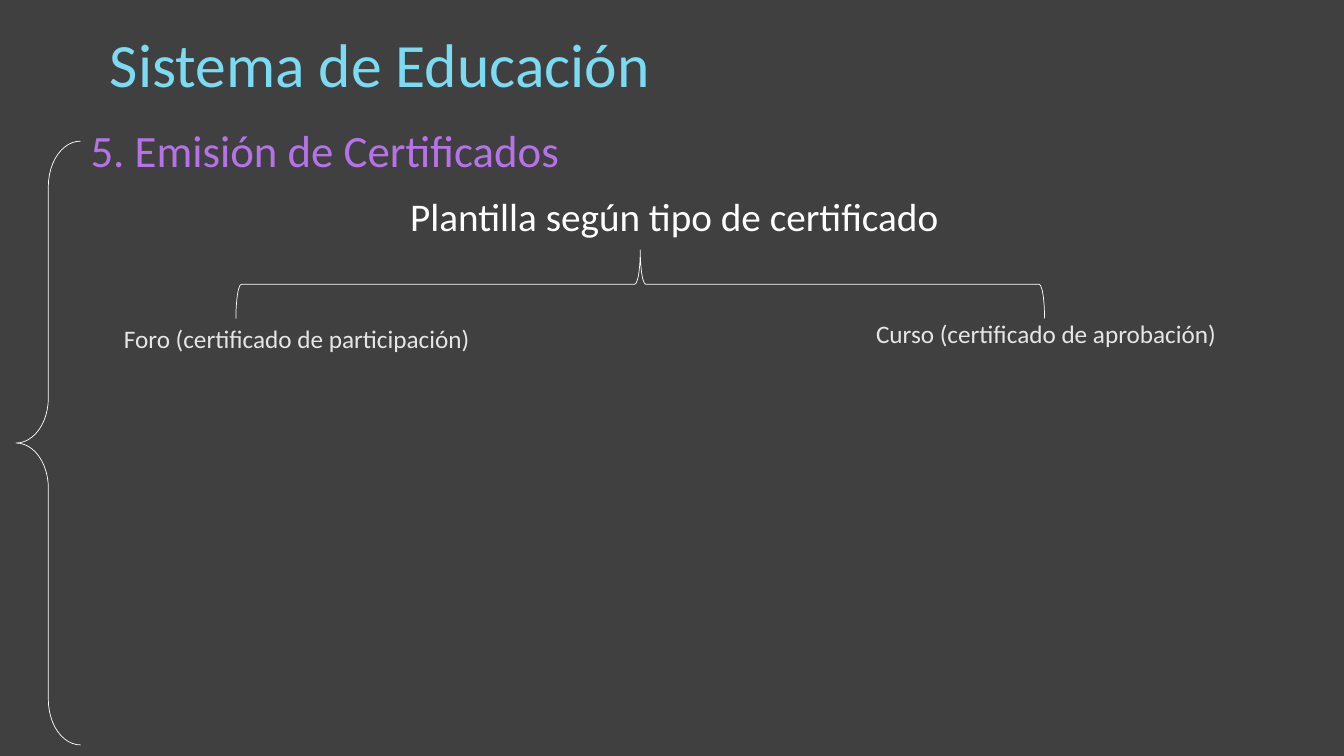
from pptx import Presentation
from pptx.dml.color import RGBColor
from pptx.enum import shapes, text
from pptx.util import Inches, Pt

COLORS = {
    "background": "404040",
    "title": "7ADBF2",
    "section": "B573E7",
    "white": "FFFFFF",
    "branch": "E7E6E6",
}
FONT = "Calibri"
LABELS = [
    ("Sistema de Educación", (0.99, 0.21, 5.68, 0.84), 44, "title"),
    ("5. Emisión de Certificados", (0.8, 1.17, 6.2, 0.64), 32, "section"),
    ("Plantilla según tipo de certificado", (3.97, 1.86, 6.67, 0.57), 28, "white"),
    ("Foro (certificado de participación)", (1.13, 3.16, 4.39, 0.4), 18, "branch"),
    ("Curso (certificado de aprobación)", (8.59, 3.11, 4.09, 0.4), 18, "branch"),
]
BRACES = [
    ((0.16, 1.4, 0.64, 5.99), 0, 0.7),
    ((6.01, -1.19, 0.68, 8.02), 90, 0.08),
]


def color(name):
    """Return the named palette colour."""
    return RGBColor.from_string(COLORS[name])


def add_label(page, wording, bounds, size, tint):
    """Add one line of left-aligned text."""
    box = page.shapes.add_textbox(*map(Inches, bounds))
    frame = box.text_frame
    frame.word_wrap = True
    frame.auto_size = text.MSO_AUTO_SIZE.SHAPE_TO_FIT_TEXT
    frame.text = wording
    font = frame.paragraphs[0].runs[0].font
    font.name = FONT
    font.size = Pt(size)
    font.color.rgb = color(tint)


def add_brace(page, bounds, rotation, curve):
    """Add a thin outlined brace."""
    brace = page.shapes.add_shape(
        shapes.MSO_SHAPE.LEFT_BRACE, *map(Inches, bounds))
    brace.rotation = rotation
    brace.adjustments[0] = curve
    brace.shadow.inherit = False
    brace.fill.background()
    brace.line.color.rgb = color("white")
    brace.line.width = Pt(0.5)


def main():
    """Build and save the certificates slide."""
    deck = Presentation()
    deck.slide_width = Inches(13.33)
    deck.slide_height = Inches(7.5)
    page = deck.slides.add_slide(deck.slide_layouts[6])
    page.background.fill.solid()
    page.background.fill.fore_color.rgb = color("background")
    for brace in BRACES:
        add_brace(page, *brace)
    for label in LABELS:
        add_label(page, *label)
    deck.save("out.pptx")


if __name__ == "__main__":
    main()
